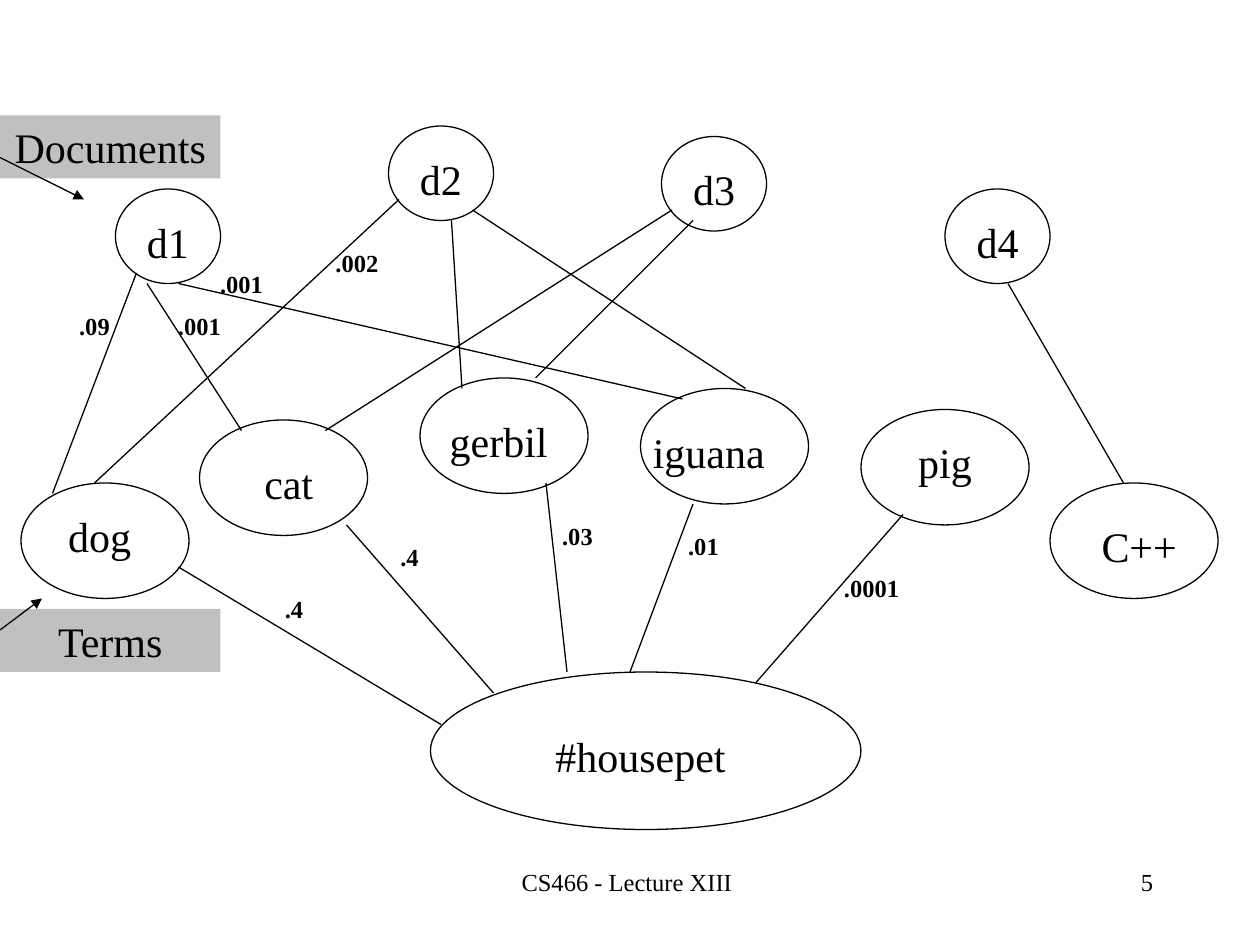
from lxml import etree
from pptx import Presentation
from pptx.dml.color import RGBColor
from pptx.enum.shapes import MSO_CONNECTOR as Connector, MSO_SHAPE as Shape
from pptx.enum.text import MSO_ANCHOR as Anchor, PP_ALIGN as Align
from pptx.oxml.ns import qn
from pptx.util import Cm, Pt

FONT = "Times New Roman"
BLACK, WHITE, GREY = "000000", "FFFFFF", "C0C0C0"

# Places are counted in steps of a twelfth of an inch
DOCUMENTS = [("d1", 11, 18), ("d4", 90, 18), ("d3", 63, 13), ("d2", 37, 12)]

# Name, ellipse left and top, label left, top and width
TERMS = [
    ("dog", 2, 46, 3, 48, 13),
    ("cat", 19, 40, 21, 43, 13),
    ("gerbil", 40, 36, 41, 39, 13),
    ("iguana", 61, 37, 60, 40, 15),
    ("pig", 82, 39, 82, 41, 16),
    ("C++", 100, 46, 102, 49, 13),
]

DOCUMENT_LINKS = [
    (96, 27, 107, 46), (66, 21, 51, 36), (43, 21, 44, 37),
    (45, 20, 71, 37), (64, 20, 31, 41), (38, 19, 9, 46),
    (13, 26, 5, 47), (14, 27, 23, 41), (17, 27, 65, 38),
]
CONCEPT_LINKS = [
    (17, 54, 42, 69), (33, 50, 47, 66), (52, 46, 54, 64),
    (66, 48, 60, 64), (86, 49, 72, 65),
]
WEIGHTS = [
    (".0001", 79, 54), (".01", 63, 50), (".03", 51, 49),
    (".4", 35, 51), (".4", 24, 56), (".002", 30, 23),
    (".001", 19, 25), (".001", 15, 29), (".09", 5, 29),
]
BANDS = [("Documents", 11), ("Terms", 58)]
POINTERS = [(0, 15, 8, 19), (0, 60, 4, 57)]


def grid(*steps):
    return [Cm(2.54 / 12 * step) for step in steps]


def color(code):
    return RGBColor.from_string(code)


def write(shape, text, size=24, bold=False, align=Align.CENTER):
    frame = shape.text_frame
    frame.word_wrap = True
    frame.vertical_anchor = Anchor.TOP
    para = frame.paragraphs[0]
    para.alignment = align
    span = para.add_run()
    span.text = text
    span.font.name = FONT
    span.font.size = Pt(size)
    span.font.bold = bold
    span.font.color.rgb = color(BLACK)


def add_label(page, text, *place, **style):
    write(page.shapes.add_textbox(*grid(*place)), text, **style)


def add_ellipse(page, *place):
    node = page.shapes.add_shape(Shape.OVAL, *grid(*place))
    node.shadow.inherit = False
    node.fill.solid()
    node.fill.fore_color.rgb = color(WHITE)
    node.line.color.rgb = color(BLACK)
    node.line.width = Pt(0.75)


def add_band(page, text, top):
    band = page.shapes.add_shape(Shape.RECTANGLE, *grid(0, top, 21, 6))
    band.shadow.inherit = False
    band.fill.solid()
    band.fill.fore_color.rgb = color(GREY)
    band.line.fill.background()
    write(band, text)


def add_link(page, *ends, arrow=False):
    link = page.shapes.add_connector(Connector.STRAIGHT, *grid(*ends))
    link.line.color.rgb = color(BLACK)
    link.line.width = Pt(0.75)
    properties = link._element.spPr
    if arrow:
        outline = properties.find(qn("a:ln"))
        etree.SubElement(outline, qn("a:tailEnd"), type="triangle")
    etree.SubElement(properties, qn("a:effectLst"))


def main():
    deck = Presentation()
    deck.slide_width, deck.slide_height = grid(120, 90)
    page = deck.slides.add_slide(deck.slide_layouts[6])

    # Nodes: documents, terms and the concept
    for name, left, top in DOCUMENTS:
        add_ellipse(page, left, top, 10, 9)
        add_label(page, name, left + 1, top + 2, 8, 6)
    for name, left, top, label_left, label_top, label_width in TERMS:
        add_ellipse(page, left, top, 16, 11)
        add_label(page, name, label_left, label_top, label_width, 6)
    add_ellipse(page, 41, 64, 41, 15)
    add_label(page, "#housepet", 46, 69, 30, 6)

    # Row names with their pointers
    for name, top in BANDS:
        add_band(page, name, top)
    for ends in POINTERS:
        add_link(page, *ends, arrow=True)

    # Links and their weights
    for ends in DOCUMENT_LINKS + CONCEPT_LINKS:
        add_link(page, *ends)
    for weight, left, top in WEIGHTS:
        add_label(page, weight, left, top, 8, 4, size=14, bold=True)

    # Footer
    add_label(page, "CS466 - Lecture XIII ", 41, 82, 38, 6, size=14)
    add_label(page, "5", 86, 82, 25, 6, size=14, align=Align.RIGHT)

    deck.save("out.pptx")


if __name__ == "__main__":
    main()
